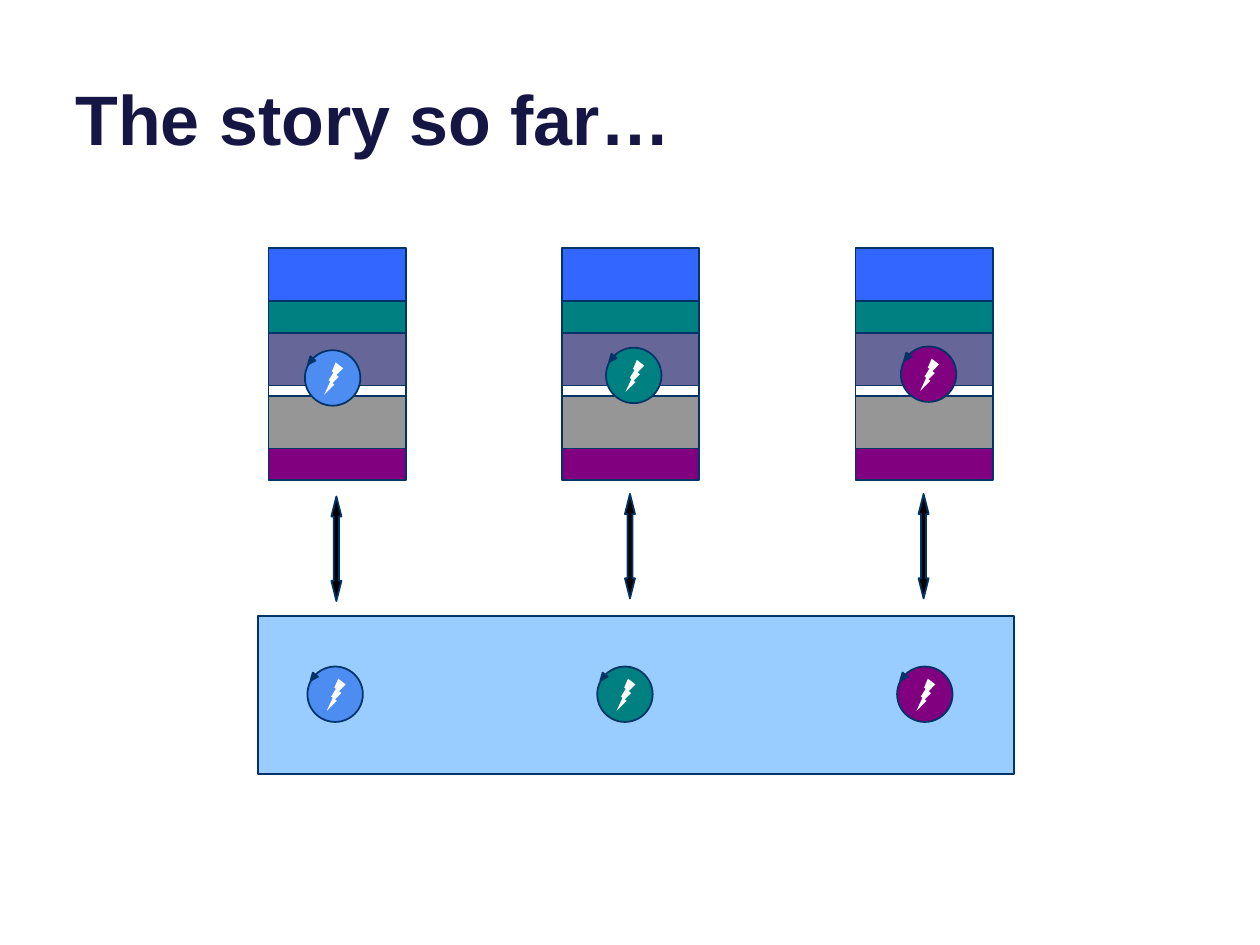
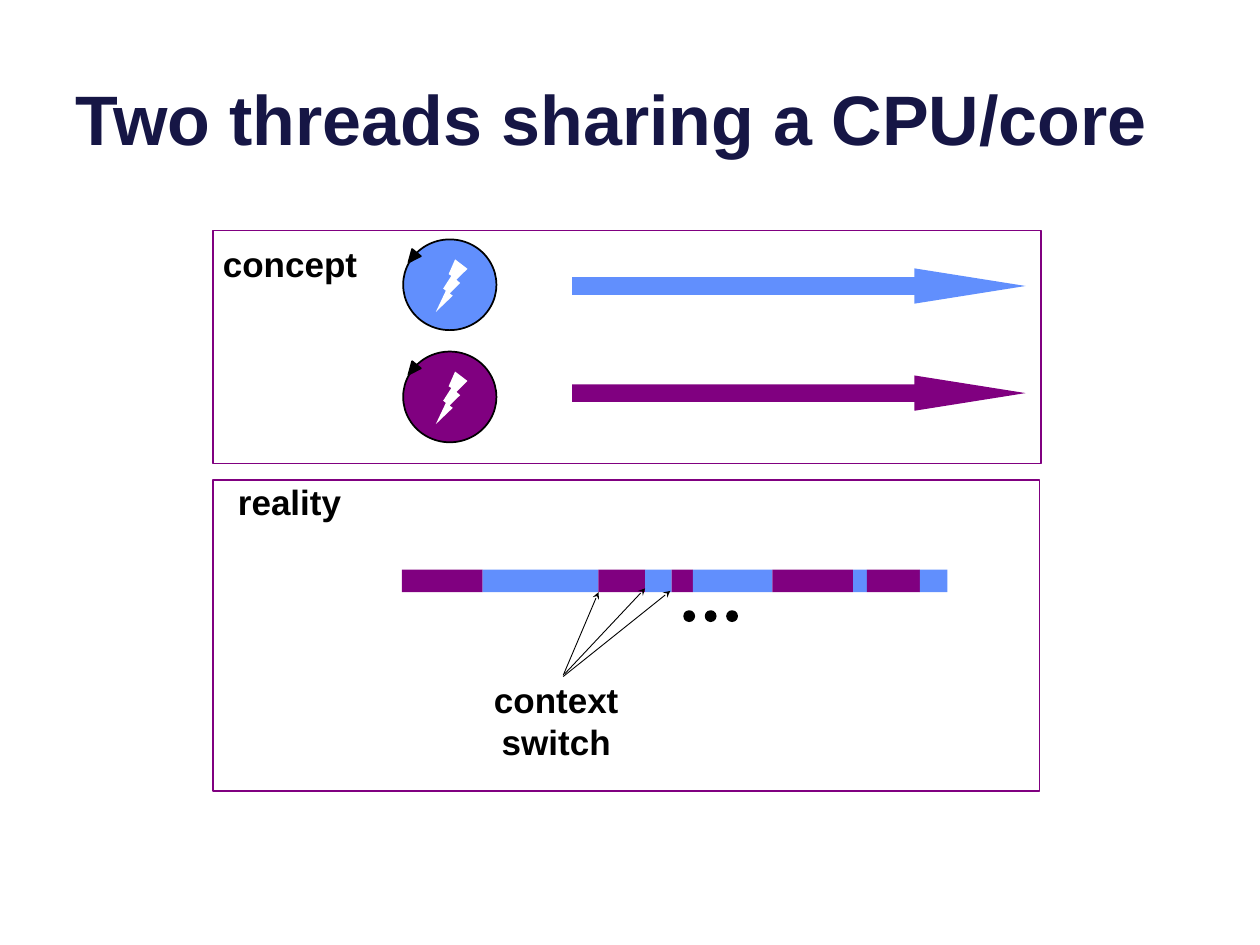
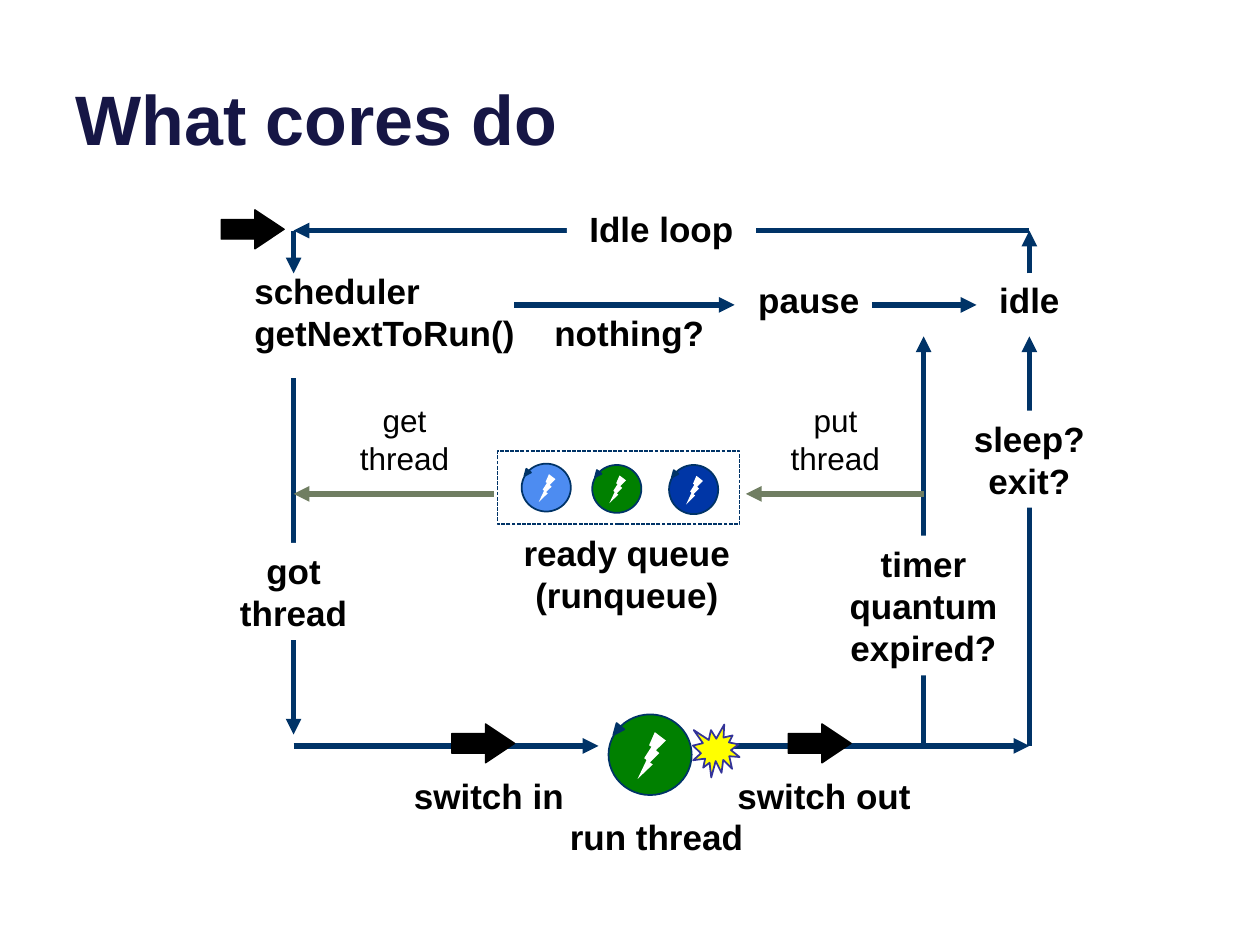
"""Build three slides on threads, cores and the scheduler."""
import itertools

import lxml.etree
import pptx
import pptx.dml.color
import pptx.enum.dml
import pptx.enum.shapes
import pptx.enum.text
import pptx.oxml.ns
import pptx.util

RGBColor = pptx.dml.color.RGBColor
Inches = pptx.util.Inches
KIND = pptx.enum.shapes.MSO_SHAPE
ALIGN = pptx.enum.text.PP_ALIGN
ANCHOR = pptx.enum.text.MSO_ANCHOR

FONT = "Arial"
INK = RGBColor(0x16, 0x16, 0x45)
NAVY = RGBColor(0x00, 0x33, 0x67)
BLACK = RGBColor(0x00, 0x00, 0x00)
WHITE = RGBColor(0xFF, 0xFF, 0xFF)
BLUE = RGBColor(0x33, 0x66, 0xFF)
TEAL = RGBColor(0x00, 0x80, 0x80)
SLATE = RGBColor(0x66, 0x66, 0x99)
GREY = RGBColor(0x96, 0x96, 0x96)
PURPLE = RGBColor(0x80, 0x00, 0x80)
PALE = RGBColor(0x99, 0xCC, 0xFF)
AZURE = RGBColor(0x4D, 0x8C, 0xF1)
SKY = RGBColor(0x61, 0x8F, 0xFD)
GREEN = RGBColor(0x00, 0x80, 0x00)
COBALT = RGBColor(0x00, 0x36, 0xA6)
OLIVE = RGBColor(0x70, 0x7E, 0x62)
YELLOW = RGBColor(0xFF, 0xFF, 0x00)
INDIGO = RGBColor(0x33, 0x33, 0x99)

STACKS = {"left": 2.13, "step": 2.33, "top": 1.97, "width": 1.09}
LAYERS = [(BLUE, 0.42), (TEAL, 0.25), (SLATE, 0.42),
          (WHITE, 0.08), (GREY, 0.42), (PURPLE, 0.25)]
LINKS = [3.94, 3.92, 3.92]
KERNEL = (2.05, 4.89, 6, 1.25)
STORY = [
    (AZURE, (2.42, 2.78), (2.44, 5.29)),
    (TEAL, (4.81, 2.76), (4.74, 5.29)),
    (PURPLE, (7.15, 2.75), (7.12, 5.29)),
]

PANELS = [(1.69, 3.81, 6.56, 2.47), (1.69, 1.83, 6.57, 1.85)]
TRACKS = [(SKY, 1.9, 2.13), (PURPLE, 2.79, 2.98)]
EDGES = [3.19, 3.83, 4.75, 5.12, 5.33, 5.5, 6.13, 6.77, 6.88, 7.3, 7.52]
SWITCHES = [((4.47, 5.36), (4.75, 4.7)),
            ((4.48, 5.35), (5.12, 4.67)),
            ((4.47, 5.37), (5.32, 4.69))]
DOTS = [5.43, 5.6, 5.77]

WEST, EAST, TIMER = 2.33, 8.17, 7.33
NORTH, MID, QUEUE, SOUTH = 1.83, 2.42, 3.92, 5.92
FLOWS = [
    (NAVY, (WEST, 3), (WEST, 5.83)),
    (NAVY, (4.08, MID), (5.83, MID)),
    (NAVY, (WEST, SOUTH), (4.75, SOUTH)),
    (NAVY, (5.58, SOUTH), (EAST, SOUTH)),
    (NAVY, (EAST, SOUTH), (EAST, 2.67)),
    (NAVY, (6.92, MID), (7.75, MID)),
    (NAVY, (TIMER, SOUTH), (TIMER, 2.67)),
    (NAVY, (EAST, NORTH), (WEST, NORTH)),
    (NAVY, (EAST, 2.17), (EAST, NORTH)),
    (NAVY, (WEST, NORTH), (WEST, 2.17)),
    (OLIVE, (3.92, QUEUE), (WEST, QUEUE)),
    (OLIVE, (TIMER, QUEUE), (5.92, QUEUE)),
]
NOTES = [
    (["ready queue", "(runqueue)"], (4.03, 4.17, 1.89, 0.77)),
    (["nothing?"], (4.16, 2.42, 1.67, 0.44)),
    (["pause"], (5.67, 2.16, 1.5, 0.44)),
    (["idle"], (7.42, 2.16, 1.5, 0.44)),
    (["switch in"], (2.84, 6.09, 2.08, 0.44)),
    (["switch out"], (5.5, 6.09, 2.08, 0.44)),
]
PLATES = [
    (["got thread"], (1.58, 4.31, 1.5, 0.77)),
    (["sleep?", "exit?"], (7.42, 3.26, 1.5, 0.77)),
    (["timer", "quantum expired?"], (6.58, 4.25, 1.5, 1.11)),
    (["run thread"], (4.17, 6.42, 2.08, 0.44)),
    (["Idle loop"], (4.5, 1.59, 1.5, 0.44)),
]
MOVES = [(["get thread"], (2.67, 3.13, 1.08, 0.71)),
         (["put thread"], (6.09, 3.13, 1.08, 0.71))]
READY = [(AZURE, (4.14, 3.68, 0.39, 0.38)),
         (GREEN, (4.7, 3.69, 0.39, 0.38)),
         (COBALT, (5.31, 3.69, 0.39, 0.39))]
STARTS = [(3.68, 5.65), (6.35, 5.65), (1.85, 1.57)]


def place(box):
    return [Inches(size) for size in box]


def add(parent, tag, **values):
    return lxml.etree.SubElement(parent, pptx.oxml.ns.qn(tag), **values)


def bend(shape, adjust):
    geom = shape.element.spPr.prstGeom
    guides = geom.get_or_add_avLst()
    for old in list(guides):
        guides.remove(old)
    for index, value in enumerate(adjust, 1):
        add(guides, "a:gd", name=f"adj{index}", fmla=f"val {round(value * 100000)}")


def draw(slide, kind, box, fill=None, line=None, width=1, turn=0, adjust=()):
    shape = slide.shapes.add_shape(kind, *place(box))
    shape.shadow.inherit = False
    shape.rotation = turn
    if fill is None:
        shape.fill.background()
    else:
        shape.fill.solid()
        shape.fill.fore_color.rgb = fill
    if line is None:
        shape.line.fill.background()
    else:
        shape.line.color.rgb = line
        shape.line.width = pptx.util.Pt(width)
    if adjust:
        bend(shape, adjust)
    return shape


def join(slide, start, end, color, width, head, size="med"):
    line = slide.shapes.add_connector(
        pptx.enum.shapes.MSO_CONNECTOR.STRAIGHT, *place(start + end))
    line.line.color.rgb = color
    line.line.width = pptx.util.Pt(width)
    add(line.line._get_or_add_ln(), "a:tailEnd", type=head, w=size, len=size)
    add(line.element.spPr, "a:effectLst")


def style(run, size, color, bold):
    run.font.name = FONT
    run.font.size = pptx.util.Pt(size)
    run.font.color.rgb = color
    run.font.bold = bold


def label(slide, lines, box, fill=None, size=20, bold=True,
          align=ALIGN.CENTER, wrap=True):
    if fill is None:
        shape = slide.shapes.add_textbox(*place(box))
    else:
        shape = draw(slide, KIND.RECTANGLE, box, fill)
    frame = shape.text_frame
    frame.word_wrap = wrap
    frame.vertical_anchor = ANCHOR.MIDDLE
    for index, line in enumerate(lines):
        para = frame.add_paragraph() if index else frame.paragraphs[0]
        para.alignment = align
        run = para.add_run()
        run.text = line
        style(run, size, BLACK, bold)


def thread(slide, box, fill, line=NAVY):
    left, top, wide, high = box

    def part(x, y, w, h):
        return left + x * wide, top + y * high, w * wide, h * high

    draw(slide, KIND.OVAL, box, fill, line)
    bolt = draw(slide, KIND.LIGHTNING_BOLT, part(0.35, 0.22, 0.34, 0.58), WHITE)
    bolt.element.spPr.get_or_add_xfrm().set("flipH", "1")
    draw(slide, KIND.ISOSCELES_TRIANGLE, part(0.04, 0.13, 0.12, 0.14),
         line, line, turn=219)


def begin(deck, text):
    slide = deck.slides.add_slide(deck.slide_layouts[5])
    title = slide.shapes.title
    title.left, title.top, title.width, title.height = place((0.5, -0.38, 9, 1.7))
    frame = title.text_frame
    frame.auto_size = pptx.enum.text.MSO_AUTO_SIZE.NONE
    frame.vertical_anchor = ANCHOR.BOTTOM
    para = frame.paragraphs[0]
    para.alignment = ALIGN.LEFT
    run = para.add_run()
    run.text = text
    style(run, 40, INK, True)
    return slide


def story(deck):
    slide = begin(deck, "The story so far…")
    draw(slide, KIND.FLOWCHART_PROCESS, KERNEL, PALE, NAVY)
    for index, link in enumerate(LINKS):
        left = STACKS["left"] + index * STACKS["step"]
        top = STACKS["top"]
        for fill, high in LAYERS:
            draw(slide, KIND.FLOWCHART_PROCESS,
                 (left, top, STACKS["width"], high), fill, NAVY)
            top += high
        draw(slide, KIND.UP_DOWN_ARROW, (left + 0.5, link, 0.08, 0.83),
             BLACK, NAVY, adjust=(0.5, 2))
    for fill, *spots in STORY:
        for spot in spots:
            thread(slide, spot + (0.44, 0.44), fill)


def sharing(deck):
    slide = begin(deck, "Two threads sharing a CPU/core")
    for box in PANELS:
        draw(slide, KIND.RECTANGLE, box, WHITE, PURPLE)
    for fill, disc, arrow in TRACKS:
        thread(slide, (3.2, disc, 0.74, 0.72), fill, BLACK)
        draw(slide, KIND.RIGHT_ARROW, (4.54, arrow, 3.6, 0.28), fill,
             adjust=(0.5, 3.15))
    fills = itertools.cycle([PURPLE, SKY])
    for left, right, fill in zip(EDGES, EDGES[1:], fills):
        draw(slide, KIND.RECTANGLE, (left, 4.52, right - left, 0.18), fill)
    for start, end in SWITCHES:
        join(slide, start, end, BLACK, 0.5, "stealth", "sm")
    for left in DOTS:
        draw(slide, KIND.OVAL, (left, 4.85, 0.08, 0.08), BLACK, BLACK)
    label(slide, ["concept"], (1.67, 1.87, 1.28, 0.44), align=ALIGN.LEFT, wrap=False)
    label(slide, ["reality"], (1.79, 3.76, 1.04, 0.44), align=ALIGN.LEFT, wrap=False)
    label(slide, ["context switch"], (3.58, 5.33, 1.67, 0.77))


def cores(deck):
    slide = begin(deck, "What cores do")
    for color, start, end in FLOWS:
        join(slide, start, end, color, 3, "triangle")
    for lines, box in PLATES:
        label(slide, lines, box, WHITE)
    for lines, box in MOVES:
        label(slide, lines, box, WHITE, 18, False)
    for lines, box in NOTES:
        label(slide, lines, box)
    label(slide, ["scheduler", "getNextToRun()"], (1.92, 2.09, 2.5, 0.77),
          align=ALIGN.LEFT)
    for fill, box in READY:
        thread(slide, box, fill)
    queue = draw(slide, KIND.RECTANGLE, (3.95, 3.58, 1.92, 0.58), None, NAVY, 0.75)
    queue.line.dash_style = pptx.enum.dml.MSO_LINE.SQUARE_DOT
    thread(slide, (4.83, 5.67, 0.66, 0.64), GREEN)
    draw(slide, KIND.EXPLOSION1, (5.5, 5.75, 0.37, 0.42), YELLOW, INDIGO)
    for spot in STARTS:
        draw(slide, KIND.UP_ARROW, spot + (0.31, 0.5), BLACK, BLACK, 0.75,
             turn=90, adjust=(0.5, 0.75))


def main():
    deck = pptx.Presentation()
    deck.slide_width, deck.slide_height = Inches(10), Inches(7.5)
    story(deck)
    sharing(deck)
    cores(deck)
    deck.save("out.pptx")


if __name__ == "__main__":
    main()
